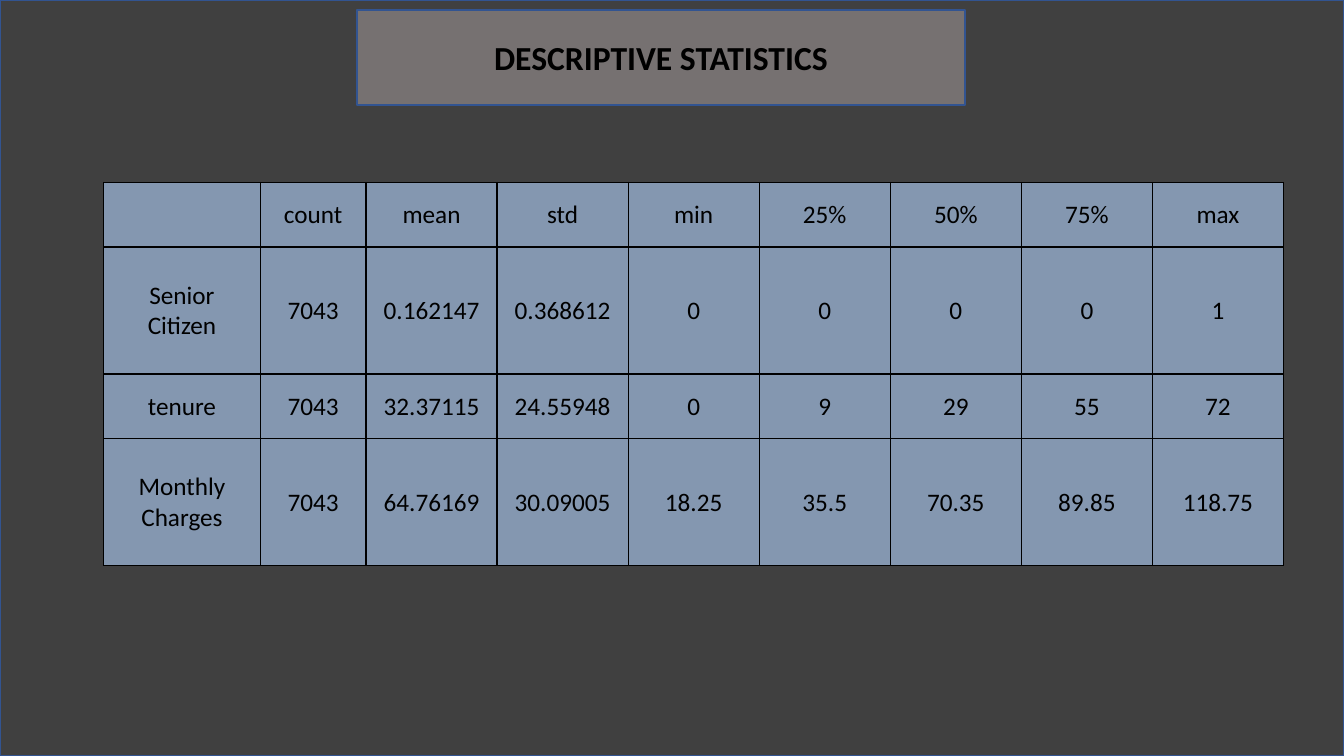
"""Build the descriptive statistics slide."""
import lxml.etree
import pptx
import pptx.dml.color
import pptx.enum.shapes
import pptx.enum.text
import pptx.oxml
import pptx.oxml.ns
import pptx.util

Inches, Pt = pptx.util.Inches, pptx.util.Pt
qn = pptx.oxml.ns.qn

TITLE = "DESCRIPTIVE STATISTICS"
STATISTICS = [
    ["", "count", "mean", "std", "min", "25%", "50%", "75%", "max"],
    ["Senior\nCitizen", "7043", "0.162147", "0.368612", "0", "0", "0", "0", "1"],
    ["tenure", "7043", "32.37115", "24.55948", "0", "9", "29", "55", "72"],
    ["Monthly\nCharges", "7043", "64.76169", "30.09005", "18.25", "35.5", "70.35", "89.85", "118.75"],
]
COLUMN_WIDTHS = [1.55, 1.05] + [1.3] * 7
ROW_HEIGHTS = [0.64, 1.26, 0.64, 1.26]
SLIDE_SIZE = (13.33, 7.5)
TITLE_BOX = (3.54, 0.1, 6.03, 0.94)
TABLE_AT = (1.03, 1.81)
COLORS = {"backdrop": "404040", "outline": "325491", "title": "767171", "cell": "8497B0", "ink": "000000"}
FONTS = {
    "title": {"name": "Calibri", "size": Pt(24), "bold": True},
    "cell": {"name": "Calibri", "size": Pt(18), "bold": False},
}
CELL_FORMAT = {
    "vertical_anchor": pptx.enum.text.MSO_ANCHOR.MIDDLE,
    "margin_left": Inches(0.01),
    "margin_right": Inches(0.01),
    "margin_top": Inches(0.01),
    "margin_bottom": 0,
}
TITLE_FORMAT = {
    "vertical_anchor": pptx.enum.text.MSO_ANCHOR.MIDDLE,
    "auto_size": pptx.enum.text.MSO_AUTO_SIZE.NONE,
    "word_wrap": True,
}


def rgb(name):
    """Return the named colour."""
    return pptx.dml.color.RGBColor.from_string(COLORS[name])


def apply(target, values):
    """Set each attribute in values on the target."""
    for name, value in values.items():
        setattr(target, name, value)


def paint(sp, fill):
    """Fill and outline a shape."""
    sp.fill.solid()
    sp.fill.fore_color.rgb = rgb(fill)
    sp.line.color.rgb = rgb("outline")
    sp.line.width = Pt(1)


def write(tf, text, style):
    """Write centred text, one paragraph per line."""
    tf.text = text
    for p in tf.paragraphs:
        p.alignment = pptx.enum.text.PP_ALIGN.CENTER
        apply(p.font, FONTS[style])
        for r in p.runs:
            apply(r.font, FONTS[style])
            r.font.color.rgb = rgb("ink")


def add_borders(cell):
    """Draw a thin line on each side of a cell."""
    tcPr = cell._tc.get_or_add_tcPr()
    for i, side in enumerate(("a:lnL", "a:lnR", "a:lnT", "a:lnB")):
        ln = lxml.etree.Element(qn(side), w=str(Pt(1)))
        fill = lxml.etree.SubElement(ln, qn("a:solidFill"))
        lxml.etree.SubElement(fill, qn("a:srgbClr"), val=COLORS["ink"])
        tcPr.insert(i, ln)


def add_backdrop(slide):
    """Cover the slide with an outlined rectangle."""
    sp = slide.shapes.add_shape(
        pptx.enum.shapes.MSO_SHAPE.RECTANGLE, 0, 0, *map(Inches, SLIDE_SIZE))
    sp.shadow.inherit = False
    paint(sp, "backdrop")


def add_title(slide):
    """Turn the title placeholder into an ellipse above the backdrop."""
    title = slide.shapes.title
    apply(title, dict(zip(("left", "top", "width", "height"), map(Inches, TITLE_BOX))))
    geometry = lxml.etree.SubElement(title.element.spPr, qn("a:prstGeom"), prst="ellipse")
    lxml.etree.SubElement(geometry, qn("a:avLst"))
    paint(title, "title")
    apply(title.text_frame, TITLE_FORMAT)
    write(title.text_frame, TITLE, "title")
    title.element.getparent().append(title.element)


def add_statistics(slide):
    """Add the statistics table."""
    box = (*TABLE_AT, sum(COLUMN_WIDTHS), sum(ROW_HEIGHTS))
    table = slide.shapes.add_table(
        len(STATISTICS), len(COLUMN_WIDTHS), *map(Inches, box)).table
    apply(table, {"first_row": False, "horz_banding": False})
    for column, width in zip(table.columns, COLUMN_WIDTHS):
        column.width = Inches(width)
    for row, height, values in zip(table.rows, ROW_HEIGHTS, STATISTICS):
        row.height = Inches(height)
        for cell, value in zip(row.cells, values):
            apply(cell, CELL_FORMAT)
            cell.fill.solid()
            cell.fill.fore_color.rgb = rgb("cell")
            add_borders(cell)
            write(cell.text_frame, value, "cell")


def main():
    """Build and save the presentation."""
    prs = pptx.Presentation()
    prs.slide_width, prs.slide_height = map(Inches, SLIDE_SIZE)
    slide = prs.slides.add_slide(prs.slide_layouts[5])
    add_backdrop(slide)
    add_title(slide)
    add_statistics(slide)
    prs.save("out.pptx")


if __name__ == "__main__":
    main()
